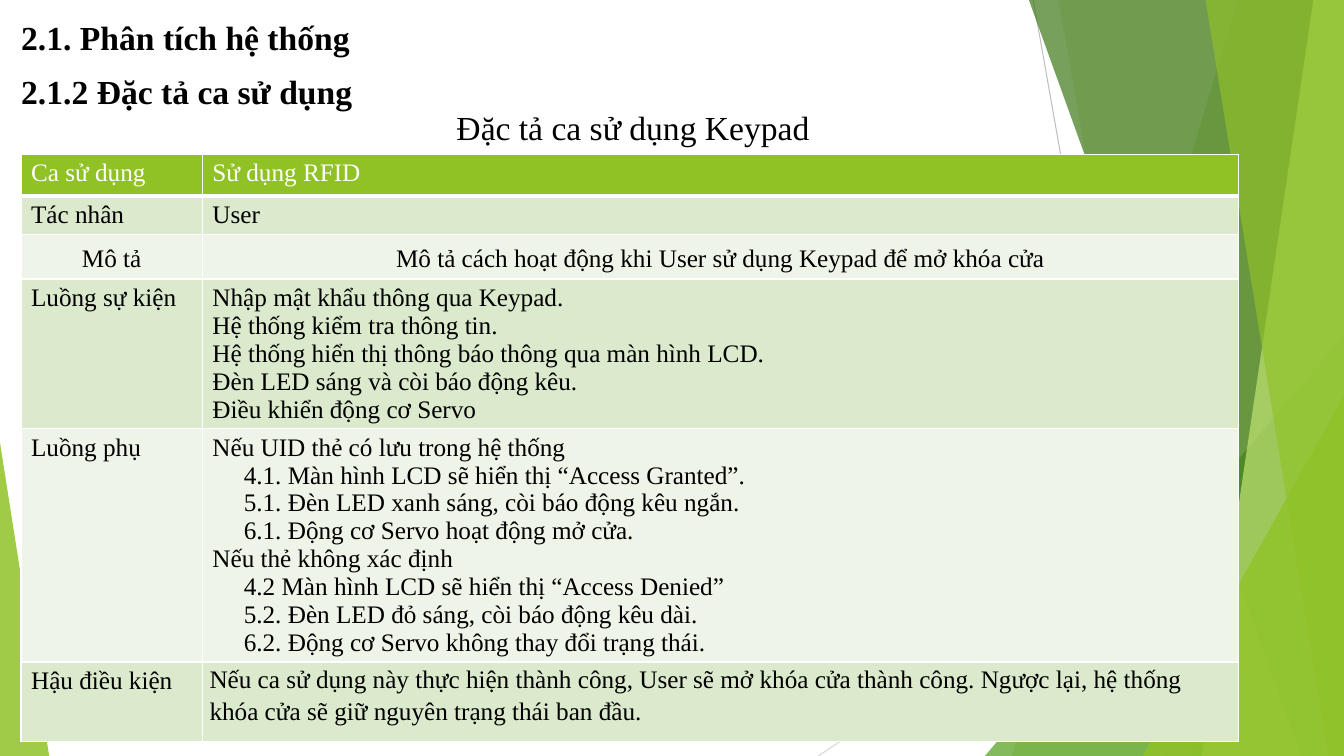
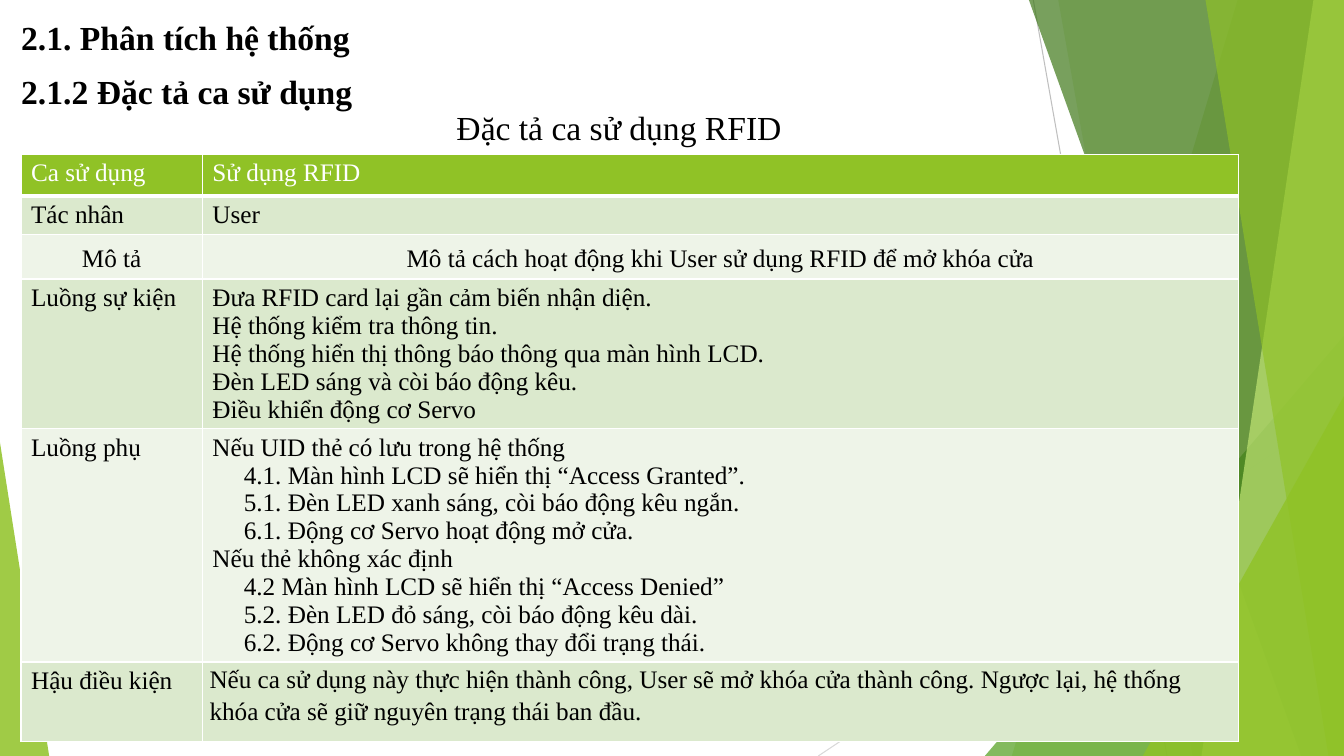
"""Build two use-case specification slides that share one green layout."""
from lxml import etree
from pptx import Presentation
from pptx.dml.color import RGBColor
from pptx.enum.shapes import MSO_CONNECTOR, MSO_SHAPE
from pptx.enum.text import MSO_ANCHOR, MSO_AUTO_SIZE, PP_ALIGN
from pptx.oxml.ns import qn
from pptx.util import Cm, Pt

LEFT, CENTER = PP_ALIGN.LEFT, PP_ALIGN.CENTER
TOP, MIDDLE = MSO_ANCHOR.TOP, MSO_ANCHOR.MIDDLE
NO_AUTOFIT = MSO_AUTO_SIZE.NONE
TRIANGLE = MSO_SHAPE.ISOSCELES_TRIANGLE
STRAIGHT = MSO_CONNECTOR.STRAIGHT

BLACK = RGBColor(0x00, 0x00, 0x00)
WHITE = RGBColor(0xFF, 0xFF, 0xFF)
GREEN = RGBColor(0x90, 0xC2, 0x26)
LEAF = RGBColor(0x54, 0xA0, 0x21)
FOREST = RGBColor(0x3F, 0x78, 0x19)
LIME = RGBColor(0xC0, 0xE4, 0x74)
ROW_DARK = RGBColor(0xDB, 0xE9, 0xCD)
ROW_LIGHT = RGBColor(0xEE, 0xF4, 0xE8)
GRAY = RGBColor(0xBF, 0xBF, 0xBF)
PALE_GRAY = RGBColor(0xD9, 0xD9, 0xD9)

WIDTH, HEIGHT = 33.87, 19.05
FONT = "Times New Roman"
HEADING_FONT = {"name": FONT, "size": Pt(24), "bold": False}
SECTION_FONT = {**HEADING_FONT, "bold": True}
CELL_FONT = {"name": FONT, "size": Pt(18), "bold": False}
HEADING_FRAME = {"word_wrap": True, "auto_size": NO_AUTOFIT, "vertical_anchor": TOP}
TITLE_BOX = (11.25, 2.57, 11.35, 1.63)
SECTION_BOX = (0.28, 0.3, 30.38, 18.75)
TIGHT_CELL = {"margin_left": Cm(0.18), "margin_right": Cm(0.18),
              "margin_top": 0, "margin_bottom": 0}
LOOSE_LINES = {"line_spacing": 1.15, "space_after": Pt(5)}

SECTIONS = ("2.1. Phân tích hệ thống", "2.1.2 Đặc tả ca sử dụng")
COLUMN_WIDTHS = (4.57, 26.11)
ROW_HEIGHTS = (1.04, 0.98, 1.12, 3.76, 5.87, 2.01)
CELL_FORMATS = {
    2: ({**TIGHT_CELL, "vertical_anchor": MIDDLE}, {**LOOSE_LINES, "alignment": CENTER}),
    (5, 1): (TIGHT_CELL, LOOSE_LINES),
}
COMMON_STEPS = (
    "Hệ thống kiểm tra thông tin.",
    "Hệ thống hiển thị thông báo thông qua màn hình LCD.",
    "Đèn LED sáng và còi báo động kêu.",
    "Điều khiển động cơ Servo",
)
BRANCHES = (
    "Nếu UID thẻ có lưu trong hệ thống",
    "4.1. Màn hình LCD sẽ hiển thị “Access Granted”.",
    "5.1. Đèn LED xanh sáng, còi báo động kêu ngắn.",
    "6.1. Động cơ Servo hoạt động mở cửa.",
    "Nếu thẻ không xác định",
    "4.2 Màn hình LCD sẽ hiển thị “Access Denied”",
    "5.2. Đèn LED đỏ sáng, còi báo động kêu dài.",
    "6.2. Động cơ Servo không thay đổi trạng thái.",
)
OUTCOME = ("Nếu ca sử dụng này thực hiện thành công, User sẽ mở khóa cửa thành công. "
           "Ngược lại, hệ thống khóa cửa sẽ giữ nguyên trạng thái ban đầu.")
FIRST_STEPS = {
    "Keypad": "Nhập mật khẩu thông qua Keypad.",
    "RFID": "Đưa RFID card lại gần cảm biến nhận diện.",
}


def apply_format(target, values):
    """Set each named attribute of the target."""
    for name, value in values.items():
        setattr(target, name, value)


def style_font(font, values, color):
    """Apply font values and a text colour."""
    apply_format(font, values)
    font.color.rgb = color


def style_decoration(shape, color, opacity):
    """Give a shape a translucent fill without outline or shadow."""
    shape.shadow.inherit = False
    shape.fill.solid()
    shape.fill.fore_color.rgb = color
    shape.line.fill.background()
    fill_color = shape.element.spPr.find(".//" + qn("a:srgbClr"))
    etree.SubElement(fill_color, qn("a:alpha"), val=str(opacity * 1000))


def add_hairline(shapes, start, end, color):
    """Draw a thin decorative line."""
    hairline = shapes.add_connector(STRAIGHT, *map(Cm, start + end))
    hairline.line.color.rgb = color
    hairline.line.width = Pt(0.75)
    etree.SubElement(hairline.element.spPr, qn("a:effectLst"))
    return hairline


def add_band(shapes, top_x, bottom_x, color, opacity):
    """Draw a full-height band from a slanted edge to the right side."""
    corners = [(Cm(x), Cm(y)) for x, y in
               ((top_x, 0), (WIDTH, 0), (WIDTH, HEIGHT), (bottom_x, HEIGHT))]
    outline = shapes.build_freeform(*corners[0])
    outline.add_line_segments(corners[1:], close=True)
    band = outline.convert_to_shape()
    style_decoration(band, color, opacity)
    return band


def add_corner(shapes, left, top, width, apex, color, opacity):
    """Draw a right triangle that stands on the bottom edge."""
    corner = shapes.add_shape(TRIANGLE, *map(Cm, (left, top, width, HEIGHT - top)))
    corner.adjustments[0] = apex
    style_decoration(corner, color, opacity)
    return corner


def decorate_layout(layout, slide):
    """Draw the green background art and place it on the layout."""
    shapes = slide.shapes
    artwork = (
        add_hairline(shapes, (26.04, 0), (29.41, HEIGHT), GRAY),
        add_hairline(shapes, (WIDTH, 10.24), (20.62, HEIGHT), PALE_GRAY),
        add_band(shapes, 31.19, 25.5, GREEN, 30),
        add_band(shapes, 26.67, 30.05, GREEN, 20),
        add_corner(shapes, 24.82, 8.46, 9.05, 1, LEAF, 72),
        add_band(shapes, 25.93, 32.79, FOREST, 70),
        add_band(shapes, 33.1, 30.28, LIME, 70),
        add_band(shapes, 30.38, 33.48, GREEN, 65),
        add_corner(shapes, 28.8, 9.98, 5.07, 1, GREEN, 80),
        add_corner(shapes, 0, 11.15, 1.24, 0, GREEN, 85),
    )
    for index, piece in enumerate(artwork):
        piece.element.xpath(".//p:cNvPr")[0].set("id", str(100 + index))
        layout.shapes.element.insert(2 + index, piece.element)


def fill_placeholder(placeholder, box, lines, font):
    """Move a placeholder and write its plain lines."""
    apply_format(placeholder, dict(zip(("left", "top", "width", "height"), map(Cm, box))))
    frame = placeholder.text_frame
    apply_format(frame, HEADING_FRAME)
    frame.text = "\n".join(lines)
    for index, paragraph in enumerate(frame.paragraphs):
        properties = paragraph._p.get_or_add_pPr()
        apply_format(paragraph, {"alignment": LEFT, "space_before": Pt(10 if index else 0)})
        properties.set("marL", "0")
        properties.set("indent", "0")
        etree.SubElement(properties, qn("a:buNone"))
        style_font(paragraph.font, font, BLACK)


def add_borders(cell, row):
    """Draw white cell borders, thicker under the header."""
    thick_side = {0: "lnB", 1: "lnT"}.get(row)
    for side in ("lnL", "lnR", "lnT", "lnB"):
        width = Pt(3 if side == thick_side else 1)
        border = etree.SubElement(cell._tc.get_or_add_tcPr(), qn("a:" + side), w=str(width))
        fill = etree.SubElement(border, qn("a:solidFill"))
        etree.SubElement(fill, qn("a:srgbClr"), val=str(WHITE))


def fill_cell(cell, lines, row, column):
    """Write and format one table cell."""
    cell_format, line_format = CELL_FORMATS.get(row) or CELL_FORMATS.get((row, column), ({}, {}))
    add_borders(cell, row)
    cell.fill.solid()
    cell.fill.fore_color.rgb = (ROW_DARK if row % 2 else ROW_LIGHT) if row else GREEN
    apply_format(cell, cell_format)
    cell.text_frame.text = "\n".join(lines)
    for line, paragraph in zip(lines, cell.text_frame.paragraphs):
        apply_format(paragraph, line_format)
        if line[0].isdigit():
            paragraph._p.get_or_add_pPr().set("marL", str(Cm(0.79)))
        style_font(paragraph.font, CELL_FONT, BLACK if row else WHITE)


def add_use_case_table(slide, device):
    """Add the specification table for one device."""
    rows = (
        ("Ca sử dụng", ("Sử dụng RFID",)),
        ("Tác nhân", ("User",)),
        ("Mô tả", (f"Mô tả cách hoạt động khi User sử dụng {device} để mở khóa cửa",)),
        ("Luồng sự kiện", (FIRST_STEPS[device], *COMMON_STEPS)),
        ("Luồng phụ", BRANCHES),
        ("Hậu điều kiện", (OUTCOME,)),
    )
    box = (0.53, 3.89, sum(COLUMN_WIDTHS), sum(ROW_HEIGHTS))
    table = slide.shapes.add_table(len(rows), 2, *map(Cm, box)).table
    for column, width in zip(table.columns, COLUMN_WIDTHS):
        column.width = Cm(width)
    for index, (label, details) in enumerate(rows):
        table.rows[index].height = Cm(ROW_HEIGHTS[index])
        fill_cell(table.cell(index, 0), (label,), index, 0)
        fill_cell(table.cell(index, 1), details, index, 1)


def main():
    """Create and save the presentation."""
    presentation = Presentation()
    presentation.slide_width, presentation.slide_height = Cm(WIDTH), Cm(HEIGHT)
    layout = presentation.slide_layouts[1]
    for device in FIRST_STEPS:
        slide = presentation.slides.add_slide(layout)
        title, sections = slide.placeholders
        fill_placeholder(title, TITLE_BOX, (f"Đặc tả ca sử dụng {device}",), HEADING_FONT)
        fill_placeholder(sections, SECTION_BOX, SECTIONS, SECTION_FONT)
        add_use_case_table(slide, device)
    decorate_layout(layout, presentation.slides[0])
    presentation.save("out.pptx")


if __name__ == "__main__":
    main()
